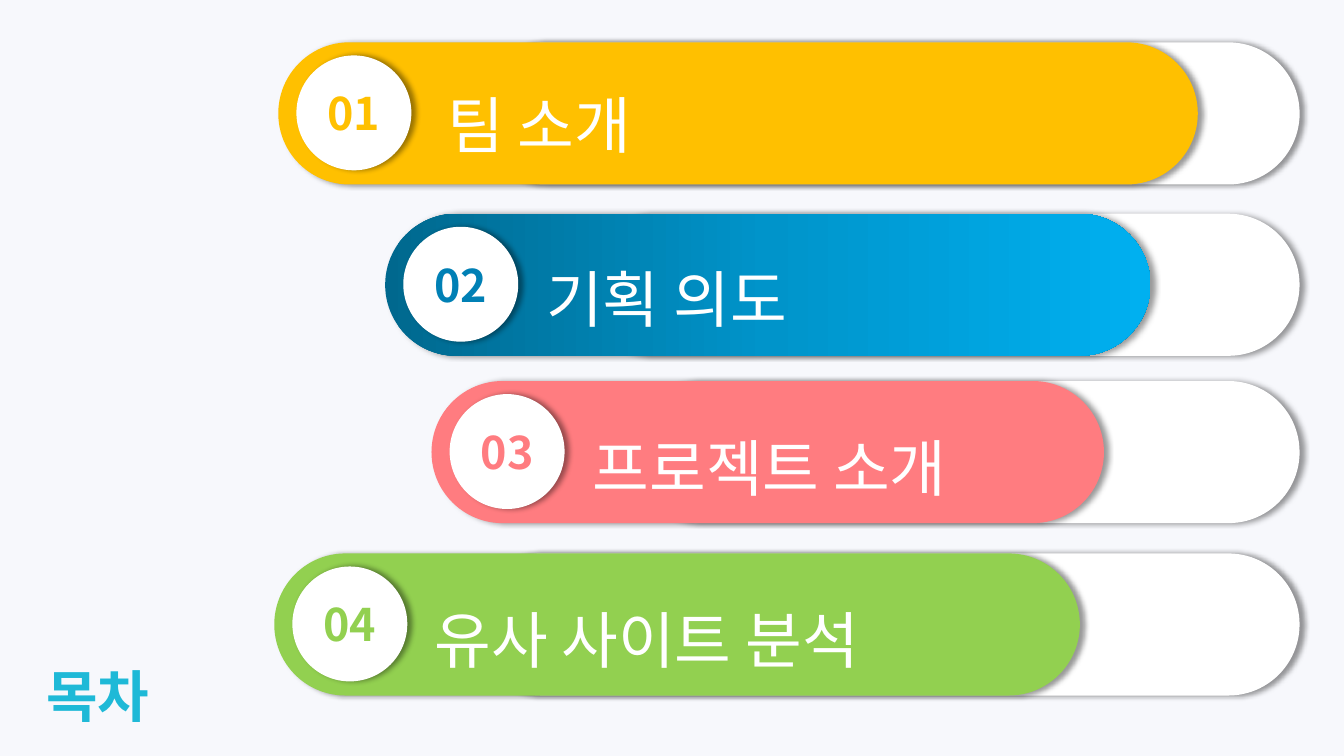
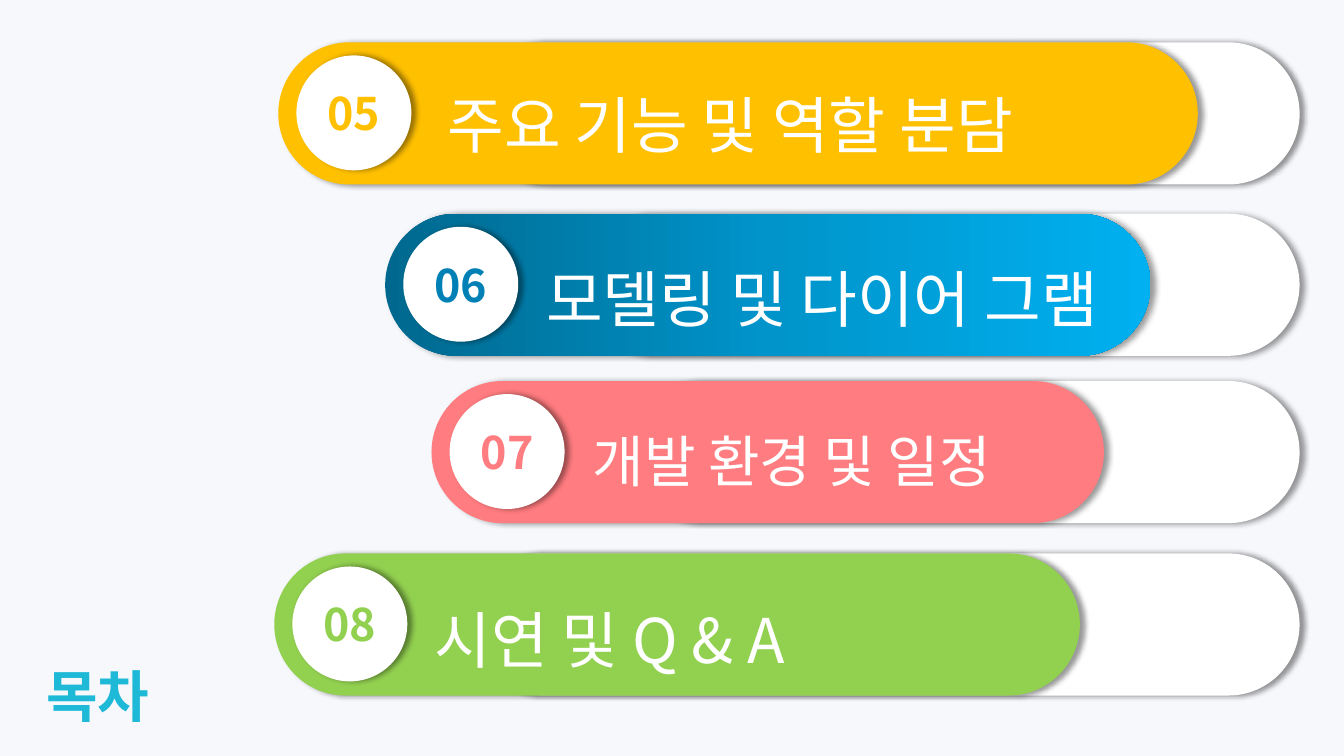
from dataclasses import dataclass

from lxml import etree
from pptx import Presentation
from pptx.dml.color import RGBColor
from pptx.enum.shapes import MSO_SHAPE
from pptx.enum.text import MSO_ANCHOR, MSO_AUTO_SIZE, PP_ALIGN
from pptx.oxml.ns import qn
from pptx.util import Pt

PX = 9144  # EMU per px, 100 px to the inch
PILL, CIRCLE = MSO_SHAPE.ROUNDED_RECTANGLE, MSO_SHAPE.OVAL
CENTER, LEFT = PP_ALIGN.CENTER, PP_ALIGN.LEFT
MIDDLE = MSO_ANCHOR.MIDDLE
GROW = MSO_AUTO_SIZE.SHAPE_TO_FIT_TEXT


@dataclass(frozen=True)
class Theme:
    font: str = "Noto Sans CJK KR"
    background: str = "F7F8FC"
    white: str = "FFFFFF"
    title: str = "1EB9D7"
    shadow: str = "000000"
    yellow: str = "FFC000"
    blue: str = "0080B5"
    blue_gradient: tuple = ("00688E", "0094CA", "00B0F0")
    pink: str = "FF7C80"
    green: str = "92D050"
    title_size: int = 40
    number_size: int = 32
    label_size: int = 44
    small_label_size: int = 40


@dataclass(frozen=True)
class Row:
    left: int
    top: int
    width: int
    fill: object
    number_color: str
    label_dx: int
    label_dy: int


T = Theme()
SLIDE_W, SLIDE_H = 1333, 750
BAR_H = 141
TRACK_DX, TRACK_RIGHT = 194, 1289
BADGE, BADGE_DX = 114, 18
LABEL_H = 108

ROWS = (
    Row(276, 42, 912, T.yellow, T.yellow, 158, 3),
    Row(382, 212, 759, T.blue_gradient, T.blue, 150, 5),
    Row(428, 378, 667, T.pink, T.pink, 150, 7),
    Row(272, 549, 799, T.green, T.green, 149, 7),
)

# label, label width, label size
PAGES = (
    (
        ("팀 소개", 450, T.label_size),
        ("기획 의도", 450, T.label_size),
        ("프로젝트 소개", 450, T.label_size),
        ("유사 사이트 분석", 581, T.label_size),
    ),
    (
        ("주요 기능 및 역할 분담", 637, T.label_size),
        ("모델링 및 다이어 그램", 653, T.label_size),
        ("개발 환경 및 일정", 488, T.small_label_size),
        ("시연 및 Q & A", 702, T.label_size),
    ),
)


def rgb(color):
    return RGBColor.from_string(color)


def box(*lengths):
    return [n * PX for n in lengths]


def write(tf, text, *, size, color, bold=False, align=LEFT, spacing=1.0):
    p = tf.paragraphs[0]
    p.alignment = align
    p.line_spacing = spacing
    r = p.add_run()
    r.text = text
    r.font.size = Pt(size)
    r.font.bold = bold
    r.font.color.rgb = rgb(color)
    r.font.name = T.font
    etree.SubElement(r._r.get_or_add_rPr(), qn("a:ea"), typeface=T.font)


def add_shadow(sp):
    sp.shadow.inherit = False
    effects = sp._element.spPr.find(qn("a:effectLst"))
    outer = etree.SubElement(
        effects, qn("a:outerShdw"), blurRad=str(Pt(4)), dist=str(Pt(3)),
        dir="0", algn="l", rotWithShape="0")
    color = etree.SubElement(outer, qn("a:srgbClr"), val=T.shadow)
    etree.SubElement(color, qn("a:alpha"), val="40000")


def paint(sp, fill):
    """Fill with one colour, or with evenly spaced stops from left to right."""
    if isinstance(fill, str):
        sp.fill.solid()
        sp.fill.fore_color.rgb = rgb(fill)
        return
    sp.fill.gradient()
    sp.fill.gradient_angle = 0
    stops = sp._element.spPr.find(".//" + qn("a:gsLst"))
    for stop in list(stops):
        stops.remove(stop)
    for i, color in enumerate(fill):
        pos = 100000 * i // (len(fill) - 1)
        stop = etree.SubElement(stops, qn("a:gs"), pos=str(pos))
        etree.SubElement(stop, qn("a:srgbClr"), val=color)


def add_raised(slide, kind, left, top, width, height, fill):
    sp = slide.shapes.add_shape(kind, *box(left, top, width, height))
    if kind == PILL:
        sp.adjustments[0] = 0.5
    paint(sp, fill)
    sp.line.fill.background()
    add_shadow(sp)
    return sp


def add_text(slide, left, top, width, height, text, **style):
    tf = slide.shapes.add_textbox(*box(left, top, width, height)).text_frame
    tf.word_wrap = True
    tf.auto_size = GROW
    write(tf, text, **style)


def add_badge(slide, row, number):
    top = row.top + (BAR_H - BADGE) // 2
    sp = add_raised(slide, CIRCLE, row.left + BADGE_DX, top, BADGE, BADGE, T.white)
    sp.text_frame.vertical_anchor = MIDDLE
    write(sp.text_frame, f"{number:02d}", size=T.number_size,
          color=row.number_color, bold=True, align=CENTER)


def add_row(slide, row, number, label, label_width, label_size):
    track_left = row.left + TRACK_DX
    add_raised(slide, PILL, track_left, row.top, TRACK_RIGHT - track_left, BAR_H, T.white)
    add_raised(slide, PILL, row.left, row.top, row.width, BAR_H, row.fill)
    add_badge(slide, row, number)
    add_text(slide, row.left + row.label_dx, row.top + row.label_dy, label_width,
             LABEL_H, label, size=label_size, color=T.white, spacing=1.5)


def add_contents_slide(prs, items, first_number):
    slide = prs.slides.add_slide(prs.slide_layouts[6])
    slide.background.fill.solid()
    slide.background.fill.fore_color.rgb = rgb(T.background)
    for number, (row, item) in enumerate(zip(ROWS, items), first_number):
        add_row(slide, row, number, *item)
    add_text(slide, 36, 651, 136, 77, "목차", size=T.title_size,
             color=T.title, bold=True)


def main():
    prs = Presentation()
    prs.slide_width, prs.slide_height = box(SLIDE_W, SLIDE_H)
    for page, items in enumerate(PAGES):
        add_contents_slide(prs, items, page * len(ROWS) + 1)
    prs.save("out.pptx")


if __name__ == "__main__":
    main()
